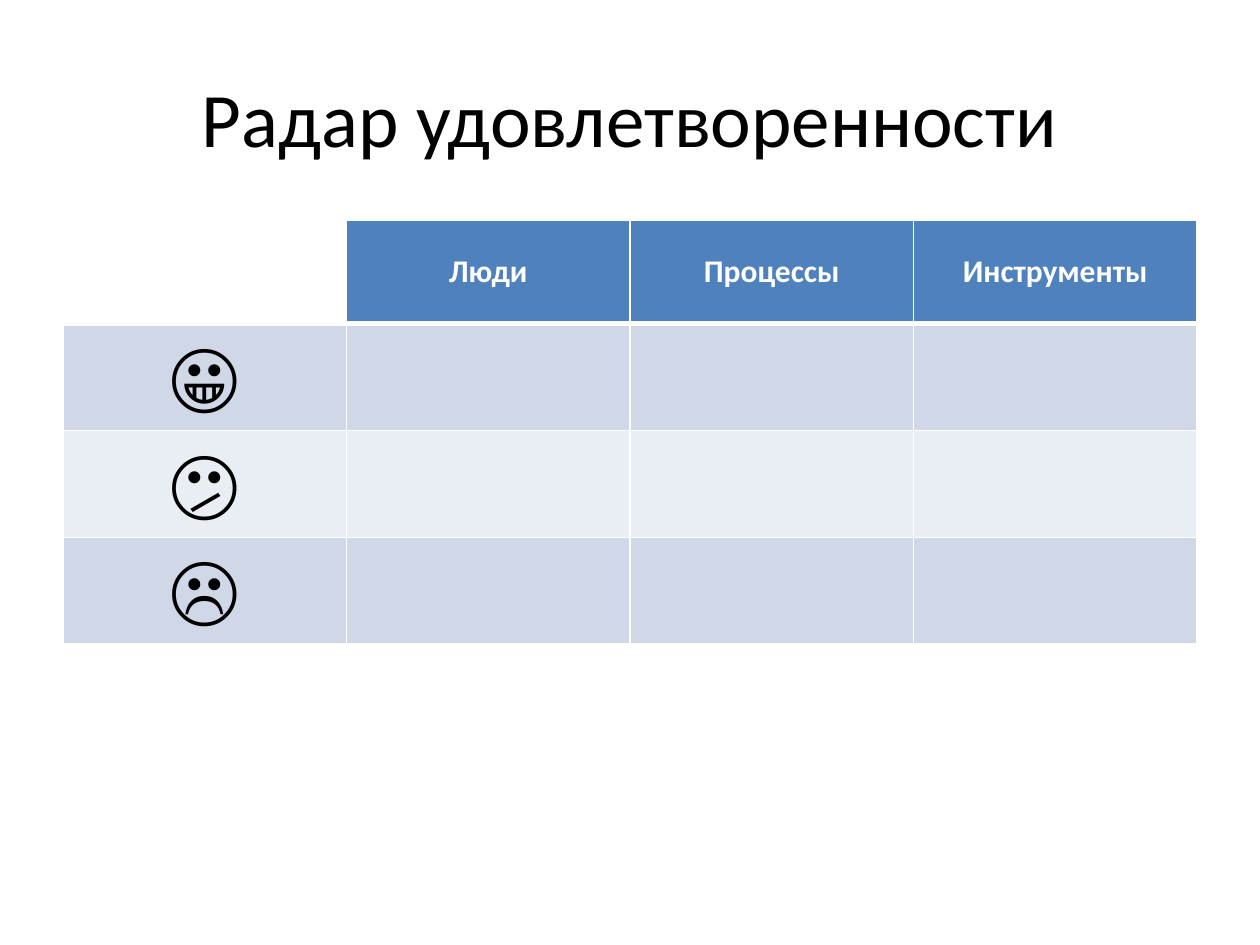
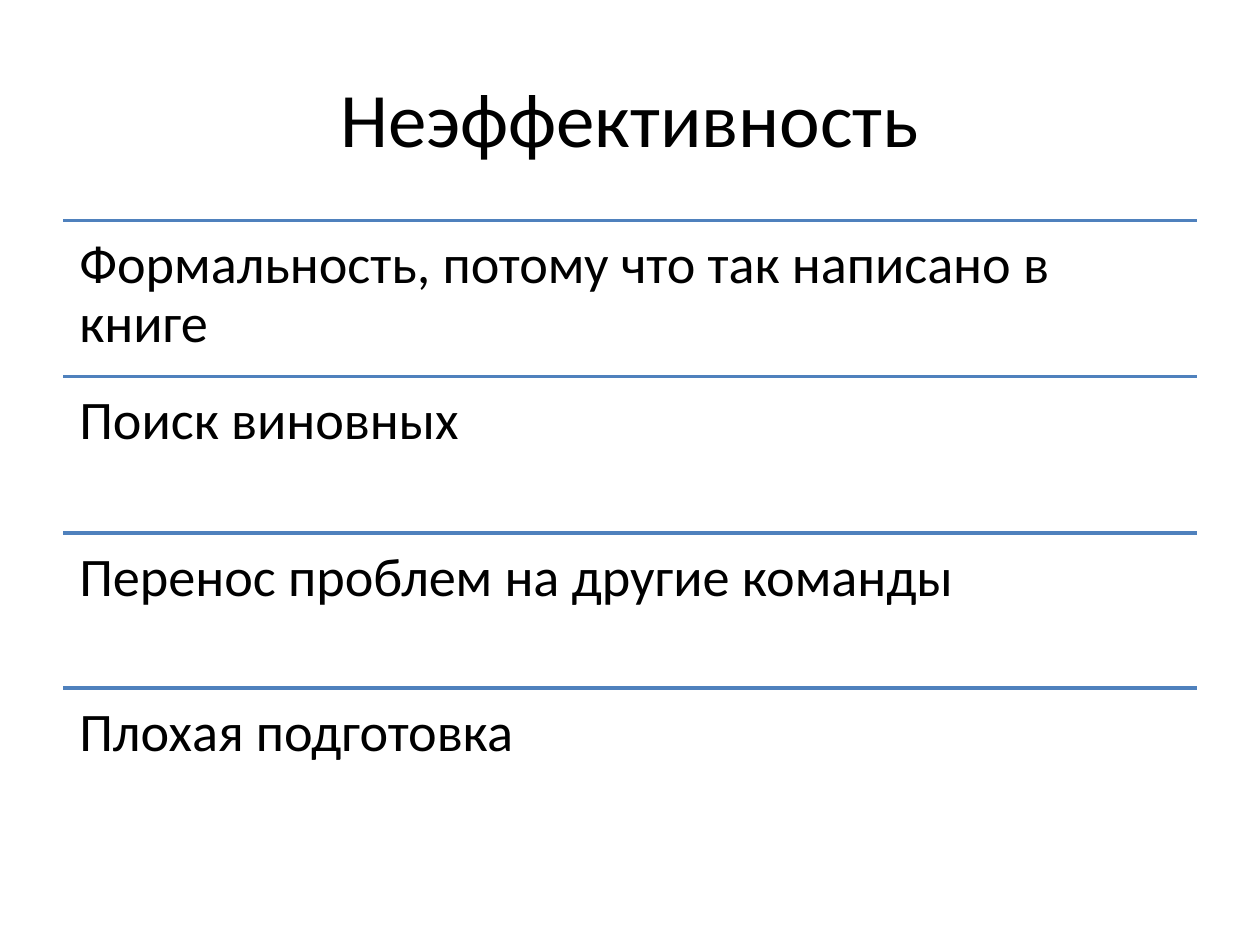
from dataclasses import dataclass

import pptx
import pptx.dml.color
import pptx.enum.shapes
import pptx.enum.text
import pptx.oxml
import pptx.oxml.ns
import pptx.util

EMU_PER_PX = 9144  # 100 px to the inch
TITLE_ONLY_LAYOUT = 5
LEFT, WIDTH = 50, 900
CONTENT_TOP = 175

RADAR_ROWS = [
    ["", "Люди", "Процессы", "Инструменты"],
    ["😀", "", "", ""],
    ["😕", "", "", ""],
    ["☹️", "", "", ""],
]
INEFFICIENCIES = [
    "Формальность, потому что так написано в книге",
    "Поиск виновных",
    "Перенос проблем на другие команды",
    "Плохая подготовка",
]


@dataclass(frozen=True)
class Theme:
    font: str = "Calibri"
    text: str = "000000"
    white: str = "FFFFFF"
    accent: str = "4F81BD"
    dark_band: str = "D0D8E8"
    light_band: str = "E9EDF4"
    title_size: int = 44
    item_size: int = 31
    header_size: int = 18
    emoji_size: int = 44


THEME = Theme()


def px(length):
    return pptx.util.Emu(length * EMU_PER_PX)


def color(value):
    return pptx.dml.color.RGBColor.from_string(value)


def style_paragraph(paragraph, size, text_color=THEME.text, bold=False, centered=False):
    paragraph.font.name = THEME.font
    paragraph.font.size = pptx.util.Pt(size)
    paragraph.font.bold = bold
    paragraph.font.color.rgb = color(text_color)
    alignment = pptx.enum.text.PP_ALIGN
    paragraph.alignment = alignment.CENTER if centered else alignment.LEFT


def add_titled_slide(presentation, text):
    slide = presentation.slides.add_slide(presentation.slide_layouts[TITLE_ONLY_LAYOUT])
    title = slide.shapes.title
    title.left, title.top, title.width, title.height = px(LEFT), px(30), px(WIDTH), px(125)
    title.text_frame.text = text
    title.text_frame.vertical_anchor = pptx.enum.text.MSO_ANCHOR.MIDDLE
    style_paragraph(title.text_frame.paragraphs[0], THEME.title_size, centered=True)
    return slide


def set_cell_borders(cell, widths):
    """Draw white borders; widths maps L, R, T and B, in that order, to points."""
    properties = cell._tc.get_or_add_tcPr()
    for side, width in widths.items():
        properties.append(pptx.oxml.parse_xml(
            f'<a:ln{side} {pptx.oxml.ns.nsdecls("a")} w="{pptx.util.Pt(width)}">'
            f'<a:solidFill><a:srgbClr val="{THEME.white}"/></a:solidFill></a:ln{side}>'
        ))


def format_cell(cell, row, text):
    is_header = row == 0
    set_cell_borders(cell, {"L": 1, "R": 1, "T": 3 if row == 1 else 1, "B": 3 if is_header else 1})
    if is_header and not text:
        cell.fill.background()
    else:
        band = THEME.dark_band if row % 2 else THEME.light_band
        cell.fill.solid()
        cell.fill.fore_color.rgb = color(THEME.accent if is_header else band)
    if text:
        cell.text = text
        cell.vertical_anchor = pptx.enum.text.MSO_ANCHOR.MIDDLE
        style_paragraph(
            cell.text_frame.paragraphs[0],
            THEME.header_size if is_header else THEME.emoji_size,
            THEME.white if is_header else THEME.text,
            bold=is_header,
            centered=True,
        )


def add_radar_table(slide, rows, row_height):
    column_count = len(rows[0])
    table = slide.shapes.add_table(
        len(rows), column_count, px(LEFT), px(CONTENT_TOP), px(WIDTH), px(row_height * len(rows))
    ).table
    for column in table.columns:
        column.width = px(WIDTH // column_count)
    for row, texts in enumerate(rows):
        for column, text in enumerate(texts):
            format_cell(table.cell(row, column), row, text)


def add_rule(shapes, top):
    rule = shapes.add_connector(
        pptx.enum.shapes.MSO_CONNECTOR.STRAIGHT, px(LEFT), px(top), px(LEFT + WIDTH), px(top)
    )
    rule.line.color.rgb = color(THEME.accent)
    rule.line.width = pptx.util.Pt(2)
    rule._element.spPr.append(pptx.oxml.parse_xml(f'<a:effectLst {pptx.oxml.ns.nsdecls("a")}/>'))


def add_item(shapes, text, top, height):
    frame = shapes.add_textbox(px(LEFT), px(top), px(WIDTH), px(height)).text_frame
    frame.word_wrap = True
    frame.margin_left = frame.margin_right = frame.margin_top = frame.margin_bottom = px(13)
    frame.text = text
    paragraph = frame.paragraphs[0]
    paragraph.line_spacing = 0.9
    paragraph.space_after = pptx.util.Pt(11)
    style_paragraph(paragraph, THEME.item_size)


def add_ruled_list(slide, items, total_height):
    shapes = slide.shapes.add_group_shape().shapes
    pitch = total_height / len(items)
    for index, text in enumerate(items):
        top = CONTENT_TOP + round(index * pitch)
        add_rule(shapes, top)
        add_item(shapes, text, top, round(pitch))


def main():
    presentation = pptx.Presentation()
    presentation.slide_width, presentation.slide_height = px(1000), px(750)

    radar = add_titled_slide(presentation, "Радар удовлетворенности")
    add_radar_table(radar, RADAR_ROWS, row_height=82)

    inefficiency = add_titled_slide(presentation, "Неэффективность")
    add_ruled_list(inefficiency, INEFFICIENCIES, total_height=495)

    presentation.save("out.pptx")


if __name__ == "__main__":
    main()
